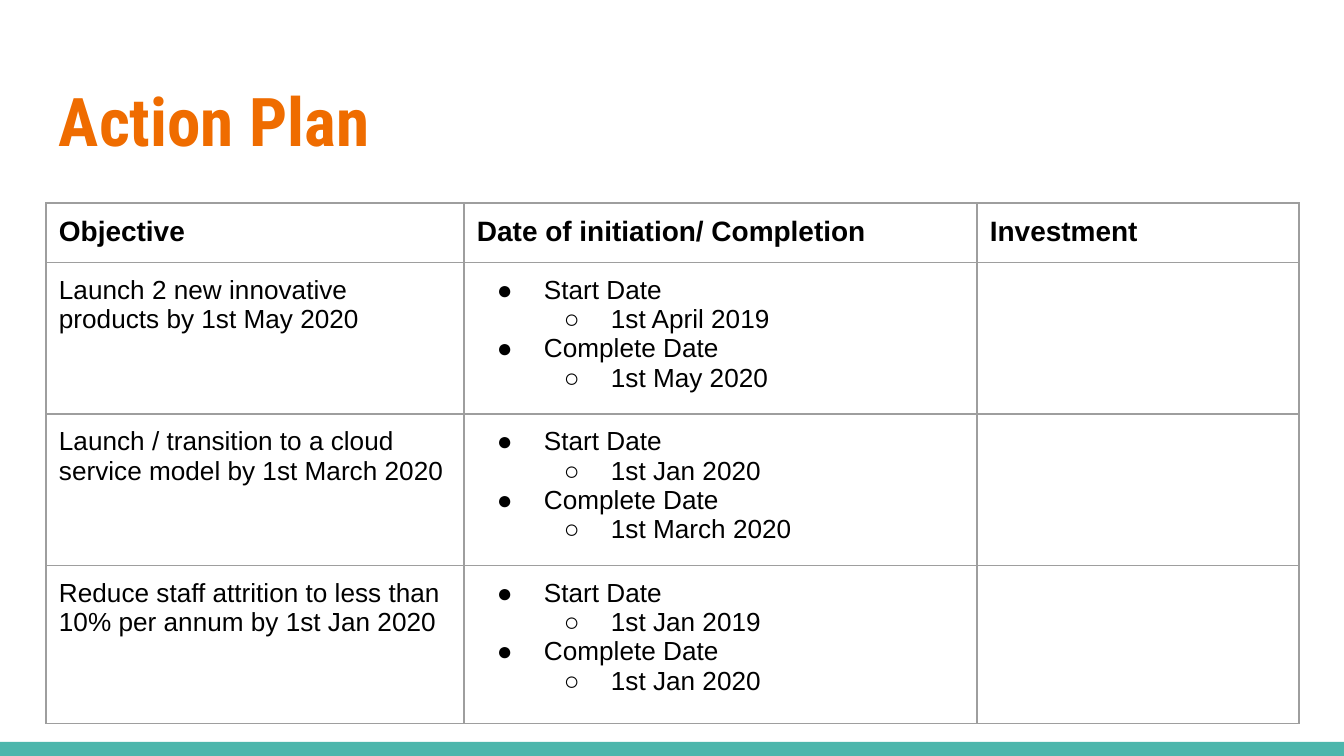
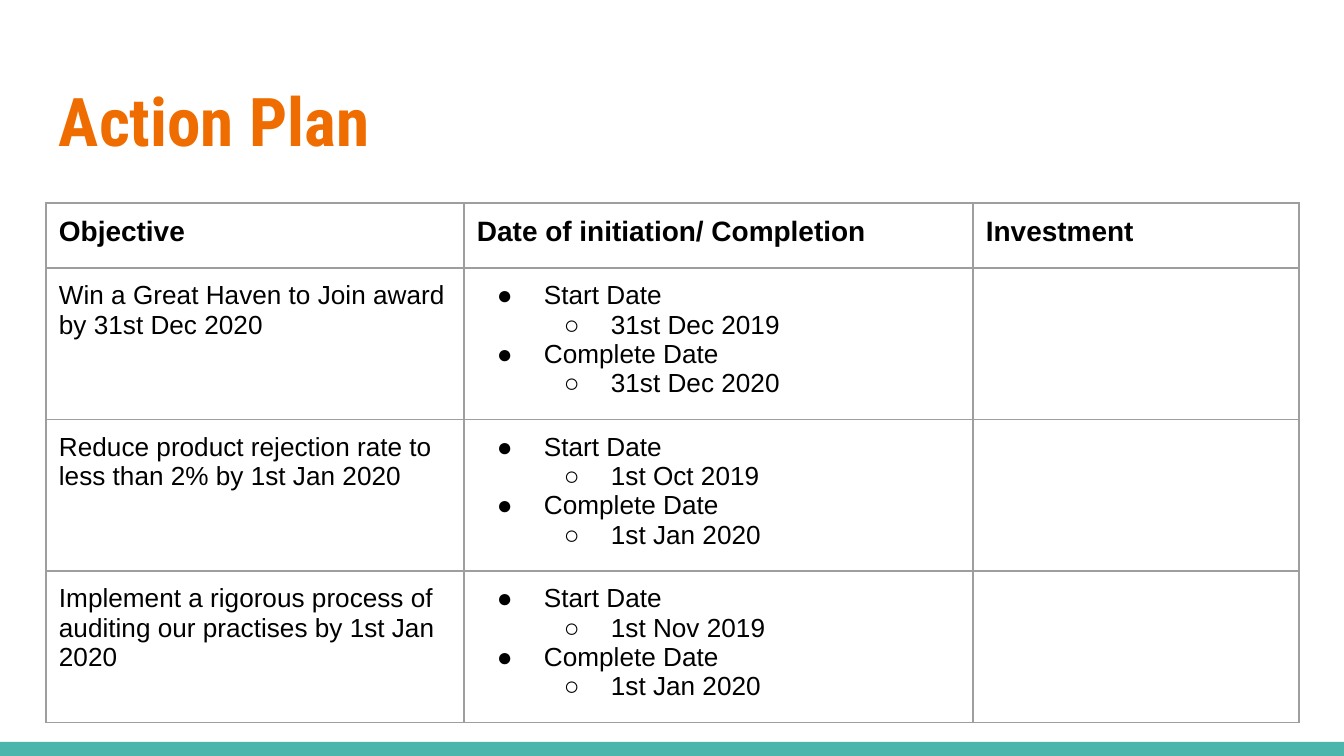
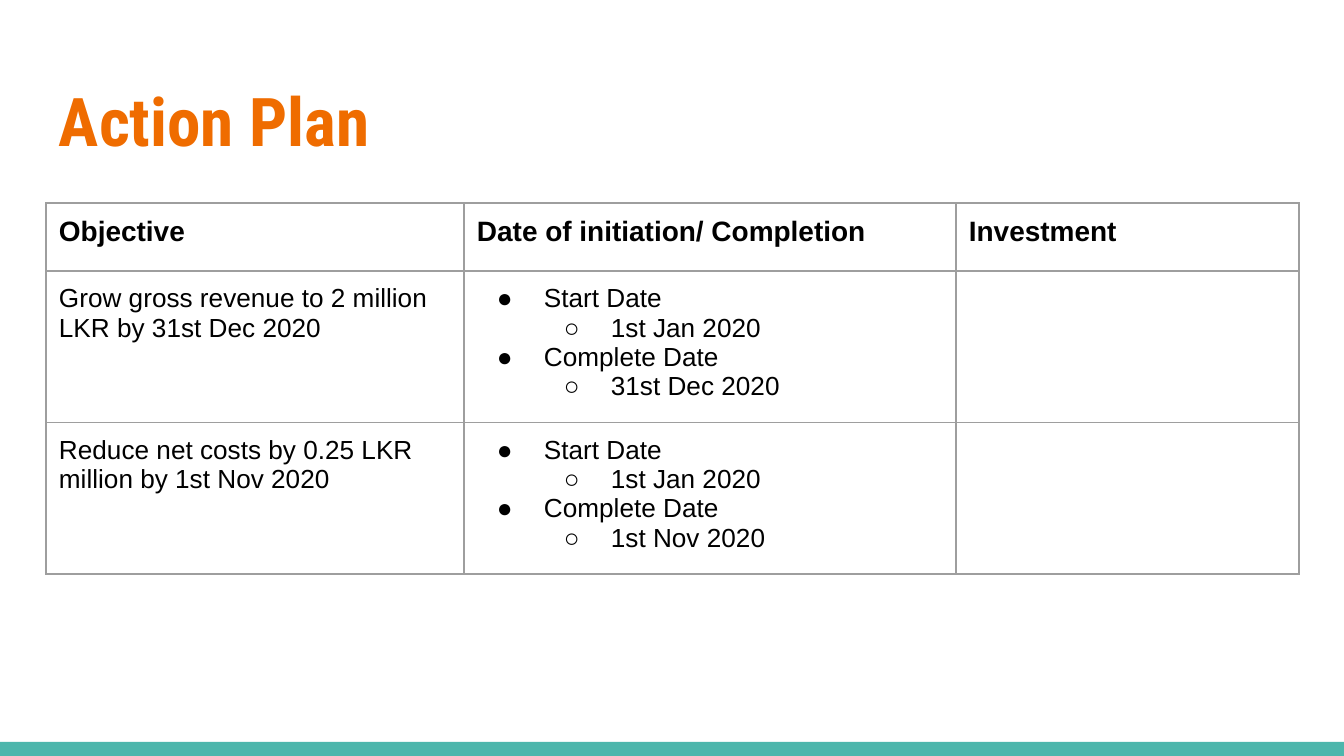
from dataclasses import dataclass

from lxml.etree import SubElement
from pptx import Presentation
from pptx.dml.color import RGBColor
from pptx.enum.shapes import MSO_SHAPE
from pptx.enum.text import MSO_ANCHOR
from pptx.oxml.ns import qn
from pptx.util import Emu, Pt

SLIDE_WIDTH, SLIDE_HEIGHT = 1344, 756
BAND_BOX = (0, 742, SLIDE_WIDTH, 14)
TITLE_BOX = (46, 66, 1253, 103)
PLAN_BOX = (46, 203, 1253)
INSET = 13
OBJECTIVE_WIDTH = 418
BULLET_STEP, BULLET_HANG = 67, 47
BULLETS = "●○"
HEADINGS = ("Objective", "Date of initiation/ Completion", "Investment")


@dataclass(frozen=True)
class Theme:
    title_font: str = "Roboto Condensed"
    body_font: str = "Arial"
    title_size: int = 36
    heading_size: int = 15
    body_size: int = 14
    border_width: float = 0.75
    background: str = "FFFFFF"
    title: str = "EF6C00"
    ink: str = "000000"
    band: str = "4DB6AC"
    border: str = "9E9E9E"


@dataclass(frozen=True)
class Plan:
    dates_width: int
    row_heights: tuple
    goals: tuple


THEME = Theme()

PLANS = (
    Plan(513, (59, 145, 145, 158), (
        ("Launch 2 new innovative products by 1st May 2020",
         "1st April 2019", "1st May 2020"),
        ("Launch / transition to a cloud service model by 1st March 2020",
         "1st Jan 2020", "1st March 2020"),
        ("Reduce staff attrition to less than 10% per annum by 1st Jan 2020",
         "1st Jan 2019", "1st Jan 2020"),
    )),
    Plan(509, (65, 144, 144, 144), (
        ("Win a Great Haven to Join award by 31st Dec 2020",
         "31st Dec 2019", "31st Dec 2020"),
        ("Reduce product rejection rate to less than 2% by 1st Jan 2020",
         "1st Oct 2019", "1st Jan 2020"),
        ("Implement a rigorous process of auditing our practises by 1st Jan 2020",
         "1st Nov 2019", "1st Jan 2020"),
    )),
    Plan(492, (68, 144, 144), (
        ("Grow gross revenue to 2 million LKR by 31st Dec 2020",
         "1st Jan 2020", "31st Dec 2020"),
        ("Reduce net costs by 0.25 LKR million by 1st Nov 2020",
         "1st Jan 2020", "1st Nov 2020"),
    )),
)


def px(length):
    return Emu(round(length * 9144000 / SLIDE_WIDTH))


def set_insets(holder):
    holder.margin_left = holder.margin_right = px(INSET)
    holder.margin_top = holder.margin_bottom = px(INSET)


def style_text(frame, font_name, size, color, bold=False):
    for paragraph in frame.paragraphs:
        for run in paragraph.runs:
            run.font.name = font_name
            run.font.size = Pt(size)
            run.font.bold = bold
            run.font.color.rgb = RGBColor.from_string(color)


def add_bullet(paragraph, level):
    paragraph.level = level
    properties = paragraph._p.get_or_add_pPr()
    properties.set("marL", str(px(BULLET_STEP * (level + 1))))
    properties.set("indent", str(-px(BULLET_HANG)))
    bullet_color = SubElement(properties, qn("a:buClr"))
    SubElement(bullet_color, qn("a:srgbClr"), val=THEME.ink)
    SubElement(properties, qn("a:buFont"), typeface=THEME.body_font)
    SubElement(properties, qn("a:buChar"), char=BULLETS[level])


def add_borders(cell):
    properties = cell._tc.get_or_add_tcPr()
    for position, side in enumerate(("a:lnL", "a:lnR", "a:lnT", "a:lnB")):
        edge = properties.makeelement(qn(side), {"w": str(Pt(THEME.border_width))})
        fill = SubElement(edge, qn("a:solidFill"))
        SubElement(fill, qn("a:srgbClr"), val=THEME.border)
        properties.insert(position, edge)


def add_band(slide, box):
    band = slide.shapes.add_shape(MSO_SHAPE.RECTANGLE, *map(px, box))
    band.shadow.inherit = False
    band.fill.solid()
    band.fill.fore_color.rgb = RGBColor.from_string(THEME.band)
    band.line.fill.background()


def add_title(slide, box, wording):
    frame = slide.shapes.add_textbox(*map(px, box)).text_frame
    frame.word_wrap = True
    frame.vertical_anchor = MSO_ANCHOR.TOP
    set_insets(frame)
    frame.text = wording
    style_text(frame, THEME.title_font, THEME.title_size, THEME.title, bold=True)


def fill_dates(frame, start, complete):
    frame.text = "\n".join(("Start Date", start, "Complete Date", complete))
    for position, paragraph in enumerate(frame.paragraphs):
        add_bullet(paragraph, position % 2)


def add_plan_table(slide, box, plan):
    left, top, width = box
    table = slide.shapes.add_table(
        len(plan.row_heights), len(HEADINGS),
        px(left), px(top), px(width), px(sum(plan.row_heights)),
    ).table
    table.first_row = table.horz_banding = False
    investment_width = width - OBJECTIVE_WIDTH - plan.dates_width
    widths = (OBJECTIVE_WIDTH, plan.dates_width, investment_width)
    for column, column_width in zip(table.columns, widths):
        column.width = px(column_width)
    for row, height in zip(table.rows, plan.row_heights):
        row.height = px(height)
    for cell in table.iter_cells():
        set_insets(cell)
        cell.fill.background()
        add_borders(cell)
    for column, heading in enumerate(HEADINGS):
        frame = table.cell(0, column).text_frame
        frame.text = heading
        style_text(frame, THEME.body_font, THEME.heading_size, THEME.ink, bold=True)
    for row, (objective, start, complete) in enumerate(plan.goals, 1):
        objective_frame = table.cell(row, 0).text_frame
        dates_frame = table.cell(row, 1).text_frame
        objective_frame.text = objective
        fill_dates(dates_frame, start, complete)
        for frame in (objective_frame, dates_frame):
            style_text(frame, THEME.body_font, THEME.body_size, THEME.ink)


def add_plan_slide(presentation, plan):
    slide = presentation.slides.add_slide(presentation.slide_layouts[6])
    slide.background.fill.solid()
    slide.background.fill.fore_color.rgb = RGBColor.from_string(THEME.background)
    add_band(slide, BAND_BOX)
    add_title(slide, TITLE_BOX, "Action Plan")
    add_plan_table(slide, PLAN_BOX, plan)


def main():
    presentation = Presentation()
    presentation.slide_width = px(SLIDE_WIDTH)
    presentation.slide_height = px(SLIDE_HEIGHT)
    for plan in PLANS:
        add_plan_slide(presentation, plan)
    presentation.save("out.pptx")


if __name__ == "__main__":
    main()
